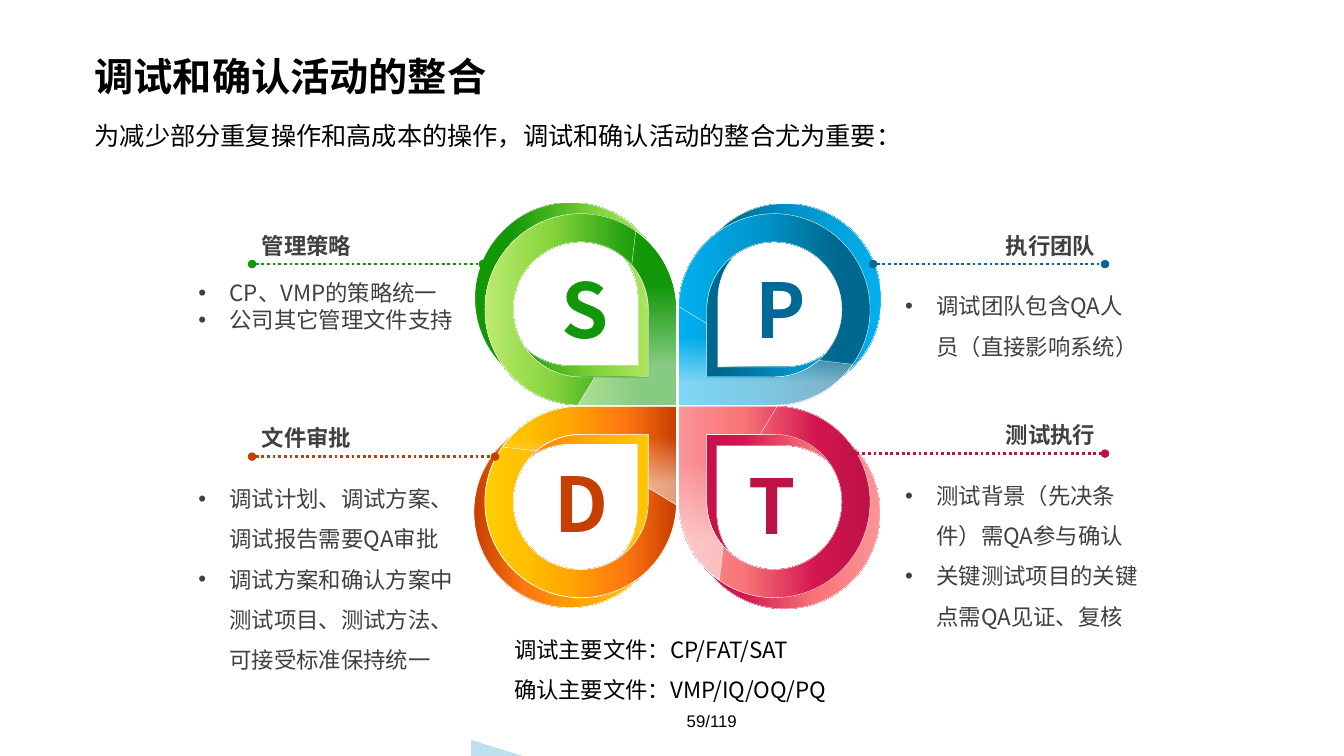
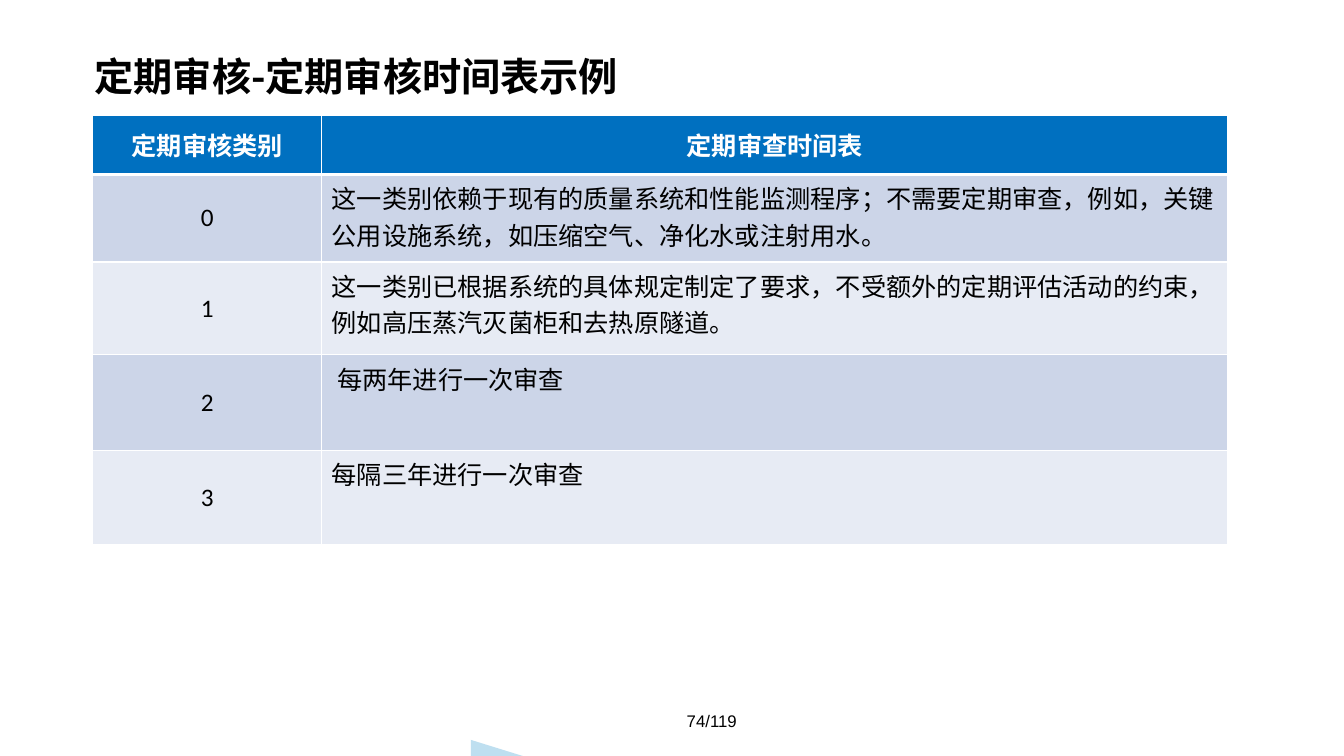
from dataclasses import dataclass
from math import cos, radians, sin

from lxml import etree
from pptx import Presentation
from pptx.dml.color import RGBColor
from pptx.enum.dml import MSO_LINE
from pptx.enum.shapes import MSO_CONNECTOR, MSO_SHAPE
from pptx.enum.text import MSO_ANCHOR, PP_ALIGN
from pptx.oxml.ns import qn
from pptx.util import Inches, Pt

LEFT, CENTER, RIGHT = PP_ALIGN.LEFT, PP_ALIGN.CENTER, PP_ALIGN.RIGHT
TOP, MIDDLE = MSO_ANCHOR.TOP, MSO_ANCHOR.MIDDLE
DOTTED = MSO_LINE.ROUND_DOT
STRAIGHT = MSO_CONNECTOR.STRAIGHT
TRIANGLE = MSO_SHAPE.RIGHT_TRIANGLE

# Shared look
CJK, CJK_BOLD, LATIN, TABLE_FONT = "Noto Sans CJK SC", "Noto Sans CJK JP", "Arial", "Calibri"
BLACK, WHITE, GREY = "000000", "FFFFFF", "404040"
CORNER_BLUE, HEADER_BLUE = "BEDFF0", "0070C0"
ROW_FILLS = ("CCD5E8", "E7EBF4")
PAGE_TOTAL = 119

# Petal geometry, measured from the centre of a petal whose corner points up and right
OUTER, INNER = 0.95, 0.67
BACK_SHIFT = (-0.11, 0.1)
FIRST_CENTER, PITCH = (5.76, 3.07), (1.92, 1.91)
GLOSS = [(23, WHITE, 50), (69, WHITE, 0)]

Point = tuple[float, float]
Stop = tuple[int, str, int]


@dataclass
class Node:
    """End of an outline segment: a line, or an arc when sweep is set."""
    x: float
    y: float
    radius: float = 0
    start: int = 0
    sweep: int = 0


@dataclass
class Petal:
    letter: str
    letter_at: tuple[float, float, float]
    col: int
    row: int
    turn: int
    stops: list[Stop]
    edge: float = 0.25


@dataclass
class Callout:
    heading: str
    bullets: list[str]
    color: str
    top: float
    heading_left: float
    body: tuple[float, float, float]
    line: tuple[float, float]
    align: PP_ALIGN = LEFT
    spacing: float = 1.5


def opaque(*stops: tuple[int, str]) -> list[Stop]:
    return [(pos, color, 100) for pos, color in stops]


PETALS = [
    Petal("S", (5.47, 2.56, 0.61), 0, 0, 90,
          opaque((18, "119707"), (67, "8AD53F"), (100, "BCEB6F"))),
    Petal("P", (7.4, 2.56, 0.73), 1, 0, 180,
          opaque((17, "00688E"), (56, "0094CA"), (100, "00B0F0"))),
    Petal("D", (5.4, 4.48, 0.75), 0, 1, 0,
          opaque((0, "C73E01"), (27, "FF7711"), (59, "FFAA01"), (80, "FFC000"),
                 (100, "FECE02")), 0.5),
    Petal("T", (7.33, 4.5, 0.68), 1, 1, 270,
          opaque((0, "BE1247"), (27, "D2144F"), (66, "F87477"), (100, "FA9496"))),
]
CALLOUTS = [
    Callout("管理策略", ["CP、VMP的策略统一", "公司其它管理文件支持"],
            "119707", 2.25, 2.5, (1.87, 2.83, 0.64), (2.5, 4.79), spacing=1),
    Callout("执行团队", ["调试团队包含QA人员（直接影响系统）"],
            "006A96", 2.25, 9.29, (8.88, 2.57, 0.91), (8.66, 10.96), RIGHT),
    Callout("文件审批", ["调试计划、调试方案、调试报告需要QA审批",
                     "调试方案和确认方案中测试项目、测试方法、可接受标准保持统一"],
            "C73E01", 4.16, 2.5, (1.87, 2.87, 2.12), (2.5, 4.91)),
    Callout("测试执行", ["测试背景（先决条件）需QA参与确认", "关键测试项目的关键点需QA见证、复核"],
            "BE1247", 4.13, 9.29, (8.88, 2.57, 1.72), (8.46, 10.96), RIGHT),
]
SCHEDULE = [
    ("定期审核类别", "定期审查时间表"),
    ("0", "这一类别依赖于现有的质量系统和性能监测程序；不需要定期审查，例如，关键公用设施系统，如压缩空气、净化水或注射用水。"),
    ("1", "这一类别已根据系统的具体规定制定了要求，不受额外的定期评估活动的约束，例如高压蒸汽灭菌柜和去热原隧道。"),
    ("2", " 每两年进行一次审查"),
    ("3", "每隔三年进行一次审查"),
]
COL_WIDTHS = (2.27, 8.99)
ROW_HEIGHTS = (0.59, 0.87, 0.92, 0.95, 0.93)


# Helpers
def rgb(color: str) -> RGBColor:
    return RGBColor.from_string(color)


def add(parent, tag: str, **attrs):
    return etree.SubElement(parent, qn(tag), attrs)


def style(p, size: float, font: str, color: str, bold: bool = False) -> None:
    for r in p.runs:
        r.font.size, r.font.name, r.font.bold = Pt(size), font, bold
        r.font.color.rgb = rgb(color)
        if font in (CJK, CJK_BOLD):
            add(r.font._element, "a:ea", typeface=font)


def add_text(slide, box: tuple[float, float, float, float], lines: list[str], size: float,
             color: str = BLACK, font: str = CJK, bold: bool = False, align: PP_ALIGN = LEFT,
             anchor: MSO_ANCHOR = TOP, spacing: float = 1, bullet: bool = False,
             wrap: bool = True) -> None:
    tf = slide.shapes.add_textbox(*map(Inches, box)).text_frame
    tf.word_wrap, tf.vertical_anchor = wrap, anchor
    tf.text = "\n".join(lines)
    for p in tf.paragraphs:
        p.alignment, p.line_spacing = align, spacing
        if bullet:
            pPr = p._p.get_or_add_pPr()
            pPr.set("marL", str(Inches(0.31)))
            pPr.set("indent", str(Inches(-0.31)))
            add(pPr, "a:buFont", typeface=LATIN)
            add(pPr, "a:buChar", char="•")
        style(p, size, font, color, bold)


def new_slide(prs, title: str, page: int):
    slide = prs.slides.add_slide(prs.slide_layouts[6])
    sp = slide.shapes.add_shape(TRIANGLE, *map(Inches, (4.67, 7.34, 0.58, 0.18)))
    sp.shadow.inherit = False
    sp.fill.solid()
    sp.fill.fore_color.rgb = rgb(CORNER_BLUE)
    sp.line.fill.background()
    add_text(slide, (0.84, 0.43, 11.65, 0.71), [title], 28, bold=True, anchor=MIDDLE, spacing=0.9)
    add_text(slide, (5.56, 6.95, 3, 0.4), [f"{page}/{PAGE_TOTAL}"], 12, font=LATIN,
             align=CENTER, anchor=MIDDLE)
    return slide


# Petals
def on_circle(radius: float, angle: int) -> Point:
    return radius * cos(radians(angle)), radius * sin(radians(angle))


def arc(radius: float, start: int, sweep: int) -> Node:
    return Node(*on_circle(radius, start + sweep), radius, start, sweep)


def teardrop(radius: float) -> list[Node]:
    return [Node(radius, 0), *(arc(radius, a, 90) for a in (0, 90, 180)), Node(radius, -radius)]


def gloss_band() -> list[Node]:
    return [Node(*on_circle(OUTER, 215)), arc(OUTER, 215, 55), Node(OUTER, -OUTER),
            Node(OUTER, 0.03), Node(INNER, -0.14), Node(INNER, -INNER), Node(0, -INNER),
            arc(INNER, 270, -41)]


def add_outline(slide, contours: list[list[Node]], center: Point, turn: int,
                stops: list[Stop], angle: int, edge: float, shift: Point = (0, 0)) -> None:
    c, s = round(cos(radians(turn))), round(sin(radians(turn)))

    def place(node: Node) -> tuple[int, int]:
        x, y = node.x + shift[0], node.y + shift[1]
        return Inches(center[0] + x * c - y * s), Inches(center[1] + x * s + y * c)

    placed = [[place(node) for node in contour] for contour in contours]
    builder = slide.shapes.build_freeform(*placed[0][0], scale=1.0)
    for i, points in enumerate(placed):
        if i:
            builder.move_to(*points[0])
        builder.add_line_segments(points[1:], close=True)
    sp = builder.convert_to_shape()
    sp.shadow.inherit = False

    # Bend the segments that are arcs
    nodes = [node for contour in contours for node in contour[1:]]
    for node, segment in zip(nodes, list(sp._element.iter(qn("a:lnTo")))):
        if node.sweep:
            radius = str(Inches(node.radius))
            bend = etree.Element(qn("a:arcTo"), wR=radius, hR=radius,
                                 stAng=str((node.start + turn) % 360 * 60000),
                                 swAng=str(node.sweep * 60000))
            segment.getparent().replace(segment, bend)

    sp.line.color.rgb, sp.line.width = rgb(WHITE), Pt(edge)
    sp.fill.gradient()
    grad = sp._element.spPr.find(qn("a:gradFill"))
    for child in list(grad):
        grad.remove(child)
    gs_list = add(grad, "a:gsLst")
    for pos, color, alpha in stops:
        clr = add(add(gs_list, "a:gs", pos=str(pos * 1000)), "a:srgbClr", val=color)
        if alpha < 100:
            add(clr, "a:alpha", val=str(alpha * 1000))
    add(grad, "a:lin", ang=str(angle * 60000), scaled="0")


def add_petal(slide, petal: Petal) -> None:
    center = (FIRST_CENTER[0] + petal.col * PITCH[0], FIRST_CENTER[1] + petal.row * PITCH[1])
    ring = [teardrop(INNER), teardrop(OUTER)]
    add_outline(slide, ring, center, petal.turn, petal.stops, 0, petal.edge, BACK_SHIFT)
    add_outline(slide, ring, center, petal.turn, petal.stops, 180, petal.edge)
    add_outline(slide, [gloss_band()], center, petal.turn, GLOSS, 270, 0.25)


# Callouts
def add_callout(slide, item: Callout) -> None:
    left, width, height = item.body
    add_text(slide, (item.heading_left, item.top, 1.67, 0.37), [item.heading], 16, GREY,
             bold=True, align=item.align)
    add_text(slide, (left, item.top + 0.47, width, height), item.bullets, 16, GREY,
             spacing=item.spacing, bullet=True)
    y = Inches(item.top + 0.37)
    cxn = slide.shapes.add_connector(STRAIGHT, Inches(item.line[0]), y, Inches(item.line[1]), y)
    cxn.line.color.rgb, cxn.line.width = rgb(item.color), Pt(2)
    cxn.line.dash_style = DOTTED
    ln = cxn.line._get_or_add_ln()
    add(ln, "a:headEnd", type="oval")
    add(ln, "a:tailEnd", type="oval")
    add(cxn._element.spPr, "a:effectLst")


# Table
def fill_cell(cell, text: str, row: int, col: int) -> None:
    header = row == 0
    tcPr = cell._tc.get_or_add_tcPr()
    for side in ("L", "R", "T", "B"):
        thick = (header and side == "B") or (row == 1 and side == "T")
        ln = add(tcPr, f"a:ln{side}", w=str(Pt(3 if thick else 1)))
        add(add(ln, "a:solidFill"), "a:srgbClr", val=WHITE)
    cell.fill.solid()
    cell.fill.fore_color.rgb = rgb(HEADER_BLUE if header else ROW_FILLS[(row - 1) % 2])
    centered = header or col == 0
    cell.vertical_anchor = MIDDLE if centered else TOP
    cell.text_frame.text = text
    p = cell.text_frame.paragraphs[0]
    p.alignment = CENTER if centered else LEFT
    style(p, 18, TABLE_FONT if centered else LATIN, WHITE if header else BLACK, header)


def add_schedule(slide) -> None:
    table = slide.shapes.add_table(len(SCHEDULE), len(COL_WIDTHS), Inches(0.92), Inches(1.14),
                                   Inches(sum(COL_WIDTHS)), Inches(sum(ROW_HEIGHTS))).table
    for column, width in zip(table.columns, COL_WIDTHS):
        column.width = Inches(width)
    for i, (row, height) in enumerate(zip(table.rows, ROW_HEIGHTS)):
        row.height = Inches(height)
        for j, cell in enumerate(row.cells):
            fill_cell(cell, SCHEDULE[i][j], i, j)


def main() -> None:
    prs = Presentation()
    prs.slide_width, prs.slide_height = Inches(13.33), Inches(7.5)

    # Integration of commissioning and qualification
    slide = new_slide(prs, "调试和确认活动的整合", 59)
    add_text(slide, (0.84, 1.14, 10.61, 6.04),
             ["为减少部分重复操作和高成本的操作，调试和确认活动的整合尤为重要："], 18)
    for petal in PETALS:
        add_petal(slide, petal)
    for petal, item in zip(PETALS, CALLOUTS):
        left, top, width = petal.letter_at
        add_text(slide, (left, top, width, 1.01), [petal.letter], 54, item.color, CJK_BOLD,
                 bold=True, wrap=False)
        add_callout(slide, item)
    add_text(slide, (5, 6.13, 3.63, 0.91),
             ["调试主要文件：CP/FAT/SAT", "确认主要文件：VMP/IQ/OQ/PQ"], 16, spacing=1.5)

    # Periodic review schedule
    add_schedule(new_slide(prs, "定期审核-定期审核时间表示例", 74))
    prs.save("out.pptx")


if __name__ == "__main__":
    main()
